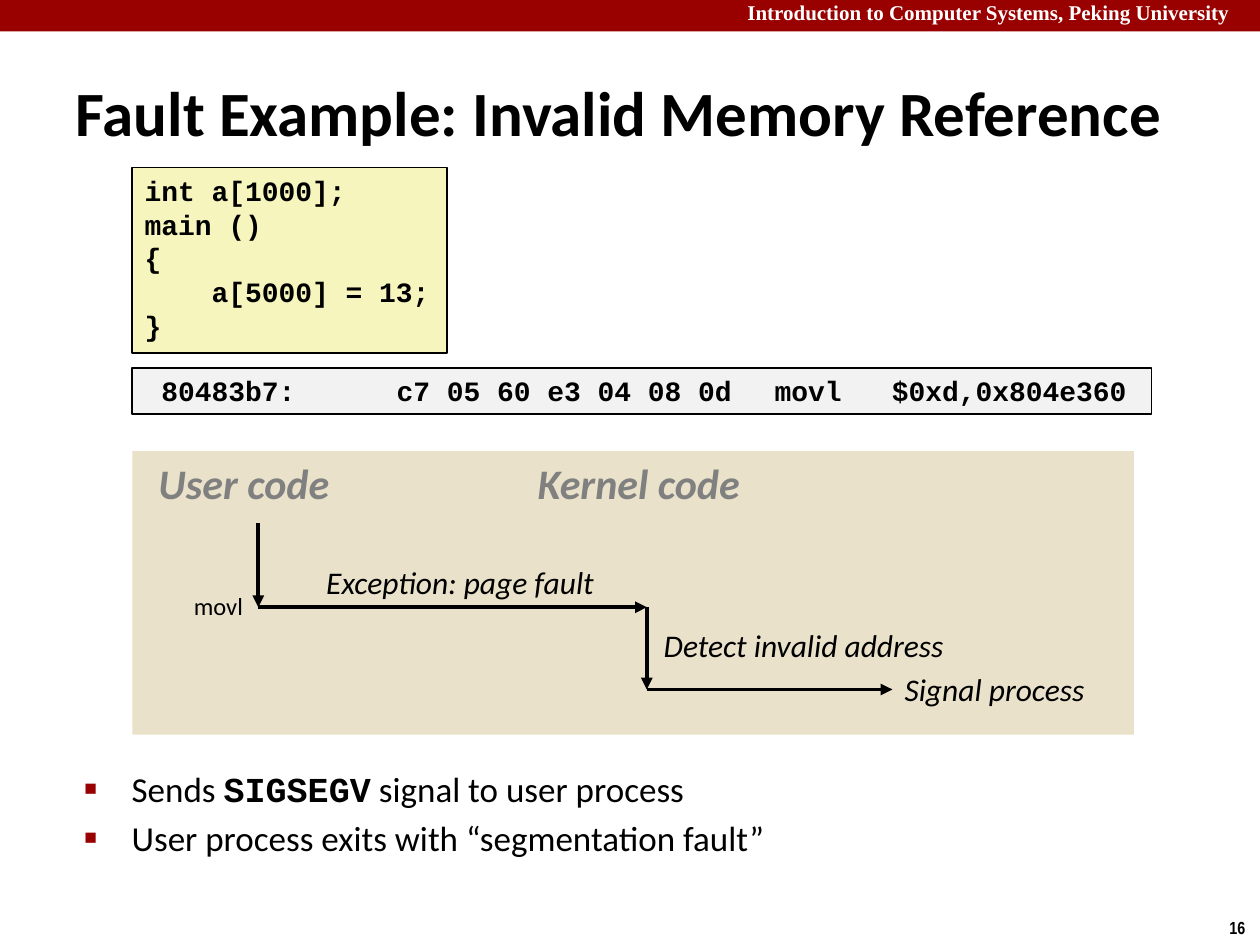
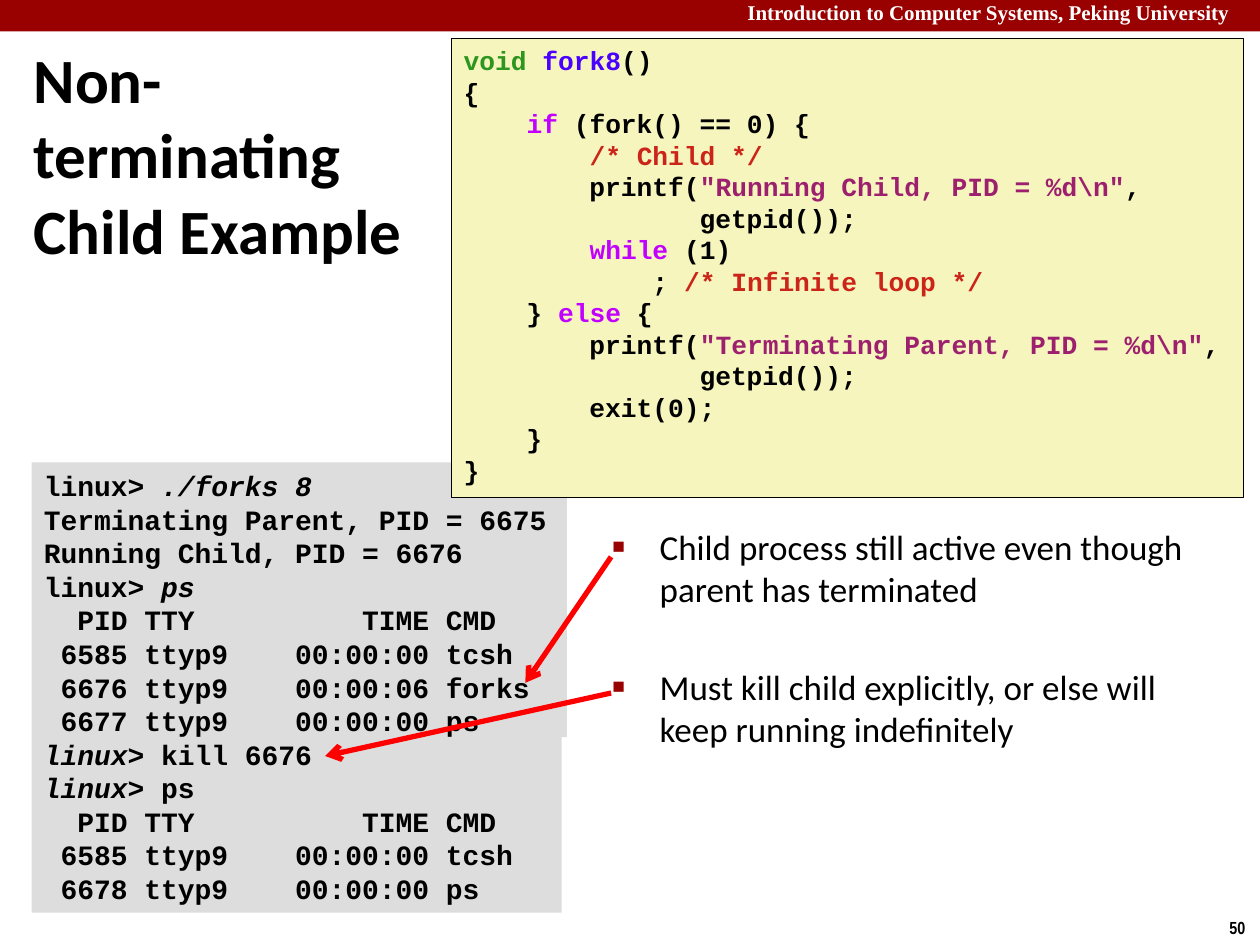
from itertools import pairwise

from lxml import etree
from pptx import Presentation
from pptx.dml.color import RGBColor
from pptx.enum.shapes import MSO_CONNECTOR, MSO_SHAPE
from pptx.enum.text import MSO_ANCHOR, MSO_AUTO_SIZE, PP_ALIGN
from pptx.oxml.ns import qn
from pptx.util import Pt

RECTANGLE = MSO_SHAPE.RECTANGLE
STRAIGHT = MSO_CONNECTOR.STRAIGHT
TOP, MIDDLE = MSO_ANCHOR.TOP, MSO_ANCHOR.MIDDLE
LEFT = PP_ALIGN.LEFT
NO_FIT = MSO_AUTO_SIZE.NONE

BLACK = RGBColor(0x00, 0x00, 0x00)
MAROON = RGBColor(0x99, 0x00, 0x00)
WHITE = RGBColor(0xFF, 0xFF, 0xFF)
RED = RGBColor(0xFF, 0x00, 0x00)
GREY = RGBColor(0x80, 0x80, 0x80)
CODE_YELLOW = RGBColor(0xF6, 0xF5, 0xBD)
ASSEMBLY_GREY = RGBColor(0xF2, 0xF2, 0xF2)
TERMINAL_GREY = RGBColor(0xDD, 0xDD, 0xDD)
PANEL_TAN = RGBColor(0xE9, 0xE1, 0xC9)
TYPE_GREEN = RGBColor(0x2D, 0x96, 0x1E)
NAME_BLUE = RGBColor(0x4A, 0x00, 0xFF)
KEYWORD_PURPLE = RGBColor(0xC2, 0x00, 0xFF)
COMMENT_RED = RGBColor(0xCB, 0x24, 0x18)
STRING_PLUM = RGBColor(0x9D, 0x20, 0x6F)

HEADER = {"name": "Times New Roman", "size": Pt(12), "bold": True, "color": WHITE}
NUMBER = {"name": "Arial Narrow", "size": Pt(10), "bold": True, "color": BLACK}
TITLE = {"name": "Calibri", "size": Pt(36), "bold": True, "color": BLACK}
BODY = {"name": "Calibri", "size": Pt(20), "color": BLACK}
CODE = {"name": "Courier New", "size": Pt(16), "bold": True, "color": BLACK}
SMALL_CODE = {**CODE, "size": Pt(15)}
HEADING = {"name": "Calibri", "size": Pt(24), "bold": True, "italic": True, "color": GREY}
LABEL = {"name": "Calibri", "size": Pt(18), "italic": True, "color": BLACK}
STEP = {"name": "Calibri", "size": Pt(14), "color": BLACK}

ITALIC = {"italic": True}
TYPE = {"color": TYPE_GREEN}
NAME = {"color": NAME_BLUE}
KEYWORD = {"color": KEYWORD_PURPLE}
COMMENT = {"color": COMMENT_RED}
STRING = {"color": STRING_PLUM}


def write_text(shape, place, lines, look, anchor=TOP):
    shape.left, shape.top, shape.width, shape.height = map(Pt, place)
    frame = shape.text_frame
    frame.word_wrap = True
    frame.auto_size = NO_FIT
    frame.vertical_anchor = anchor
    for index, line in enumerate(lines):
        para = frame.add_paragraph() if index else frame.paragraphs[0]
        para.alignment = LEFT
        for span in [line] if isinstance(line, str) else line:
            words, changes = (span, {}) if isinstance(span, str) else span
            for number, part in enumerate(words.split("\n")):
                if number:
                    para.add_line_break()
                run = para.add_run()
                run.text = part
                for key, value in {**look, **changes}.items():
                    if key == "color":
                        run.font.color.rgb = value
                    else:
                        setattr(run.font, key, value)
    return frame


def add_box(page, place, lines, look, fill=None, outline=0):
    if fill is None:
        box = page.shapes.add_textbox(*map(Pt, place))
    else:
        box = page.shapes.add_shape(RECTANGLE, *map(Pt, place))
        box.shadow.inherit = False
        box.fill.solid()
        box.fill.fore_color.rgb = fill
        if outline:
            box.line.color.rgb = BLACK
            box.line.width = Pt(outline)
        else:
            box.line.fill.background()
    return write_text(box, place, lines, look)


deck = Presentation()
deck.slide_width, deck.slide_height = Pt(720), Pt(540)

contents = [
    {
        "number": "16",
        "title": "Fault Example: Invalid Memory Reference",
        "title_place": (36, 41.5, 684, 44),
        "body": [
            ["Sends ", ("SIGSEGV", {"name": "Courier New", "bold": True}), " signal to user process"],
            "User process exits with “segmentation fault”",
        ],
        "body_place": (41, 435, 528, 69),
        "gap": 4,
    },
    {
        "number": "50",
        "title": "Non-\nterminating\nChild Example",
        "title_place": (12, 24, 288, 127.5),
        "body": [
            "Child process still active even though parent has terminated",
            "Must kill child explicitly, or else will keep running indefinitely",
        ],
        "body_place": (342.7, 296.6, 341.3, 213.8),
        "gap": 32,
    },
]

pages = []
for content in contents:
    page = deck.slides.add_slide(deck.slide_layouts[1])
    pages.append(page)
    add_box(page, (0, 0, 720, 18), [], HEADER, MAROON)
    add_box(page, (420, -3.6, 300, 21.6),
            ["Introduction to Computer Systems, Peking University"], HEADER)
    add_box(page, (695.5, 520.5, 24.5, 19.5), [content["number"]], NUMBER)
    write_text(page.shapes.title, content["title_place"], [content["title"]], TITLE, MIDDLE)
    body = write_text(page.placeholders[1], content["body_place"], content["body"], BODY)
    for index, para in enumerate(body.paragraphs):
        para.space_before = Pt(content["gap"] if index else 0)
        properties = para._p.get_or_add_pPr()
        properties.set("marL", str(Pt(27)))
        properties.set("indent", str(-Pt(27)))
        colour = etree.SubElement(properties, qn("a:buClr"))
        etree.SubElement(colour, qn("a:srgbClr"), val=str(MAROON))
        etree.SubElement(properties, qn("a:buSzPct"), val="60000")
        etree.SubElement(properties, qn("a:buChar"), char="■")

fault_page, child_page = pages

program = ["int a[1000];", "main ()", "{", "    a[5000] = 13;", "}"]
add_box(fault_page, (75.6, 95.8, 180, 105.8), program, CODE, CODE_YELLOW, 1)

assembly = add_box(fault_page, (75.6, 210.2, 582.5, 26.6),
                   [" 80483b7:\tc7 05 60 e3 04 08 0d \tmovl   $0xd,0x804e360"],
                   CODE, ASSEMBLY_GREY, 1)
tabs = etree.SubElement(assembly.paragraphs[0]._p.get_or_add_pPr(), qn("a:tabLst"))
for stop in (144, 360):
    etree.SubElement(tabs, qn("a:tab"), pos=str(Pt(stop)), algn="l")

add_box(fault_page, (75.6, 257.8, 572.4, 162), [], LABEL, PANEL_TAN)
for words, place, look in [
    ("User code", (83.5, 257.8, 119, 36), HEADING),
    ("Kernel code", (300.2, 257.8, 137.5, 36), HEADING),
    ("Exception: page fault", (179.3, 318.2, 174.2, 28.8), LABEL),
    ("Detect invalid address", (372.2, 354.2, 180, 28.8), LABEL),
    ("Signal process", (509.8, 379.4, 126, 28.8), LABEL),
    ("movl", (103.7, 334, 45, 24.5), STEP),
]:
    add_box(fault_page, place, [words], look)

first_session = [
    ["linux> ", ("./forks 8", ITALIC)],
    "Terminating Parent, PID = 6675",
    "Running Child, PID = 6676",
    ["linux> ", ("ps", ITALIC)],
    "  PID TTY          TIME CMD",
    " 6585 ttyp9    00:00:00 tcsh",
    " 6676 ttyp9    00:00:06 forks",
    " 6677 ttyp9    00:00:00 ps",
]
kill_session = [
    [("linux>", ITALIC), " kill 6676"],
    [("linux> ", ITALIC), "ps"],
    "  PID TTY          TIME CMD",
    " 6585 ttyp9    00:00:00 tcsh",
    " 6678 ttyp9    00:00:00 ps",
]
upper_terminal = add_box(child_page, (18, 264.2, 306, 157), first_session, CODE, TERMINAL_GREY)
upper_terminal.margin_bottom = Pt(0)
lower_terminal = add_box(child_page, (18, 421.2, 303, 100.4), kill_session, CODE, TERMINAL_GREY)
lower_terminal.margin_top = Pt(0)

fork_code = [
    [("void ", TYPE), ("fork8", NAME), "()"],
    "{",
    ["    ", ("if", KEYWORD), " (fork() == 0) {"],
    ["        ", ("/* Child */", COMMENT)],
    ["        printf(", (r'"Running Child, PID = %d\n"', STRING), ","],
    "               getpid());",
    ["        ", ("while", KEYWORD), " (1)"],
    ["            ; ", ("/* Infinite loop */", COMMENT)],
    ["    } ", ("else", KEYWORD), " {"],
    ["        printf(", (r'"Terminating Parent, PID = %d\n"', STRING), ","],
    "               getpid());",
    "        exit(0);",
    "    }",
    "}",
]
add_box(child_page, (257.8, 22, 452.6, 262), fork_code, SMALL_CODE, CODE_YELLOW, 0.25)

control_flow = [(147.6, 299), (147.6, 347), (369.6, 347), (369.6, 394), (510, 394)]
callouts = [[(349.2, 318.2), (300.2, 390.2)], [(349.2, 396), (185.8, 432)]]
arrows = [(fault_page, *leg, BLACK, 2.25, "triangle") for leg in pairwise(control_flow)]
arrows += [(child_page, *ends, RED, 3, "arrow") for ends in callouts]
for page, start, end, colour, width, head in arrows:
    arrow = page.shapes.add_connector(STRAIGHT, *map(Pt, start + end))
    arrow.line.color.rgb = colour
    arrow.line.width = Pt(width)
    etree.SubElement(arrow.line._get_or_add_ln(), qn("a:tailEnd"), type=head)
    etree.SubElement(arrow._element.spPr, qn("a:effectLst"))

deck.save("out.pptx")
